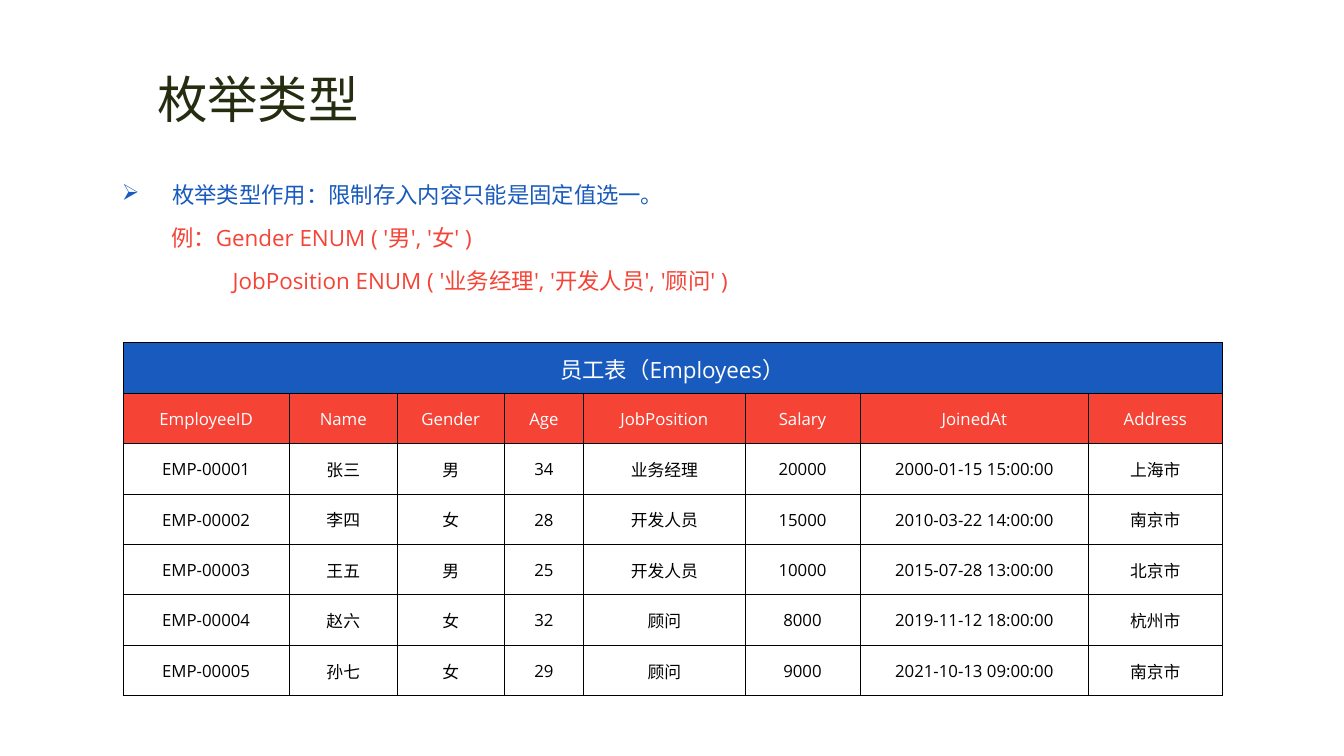
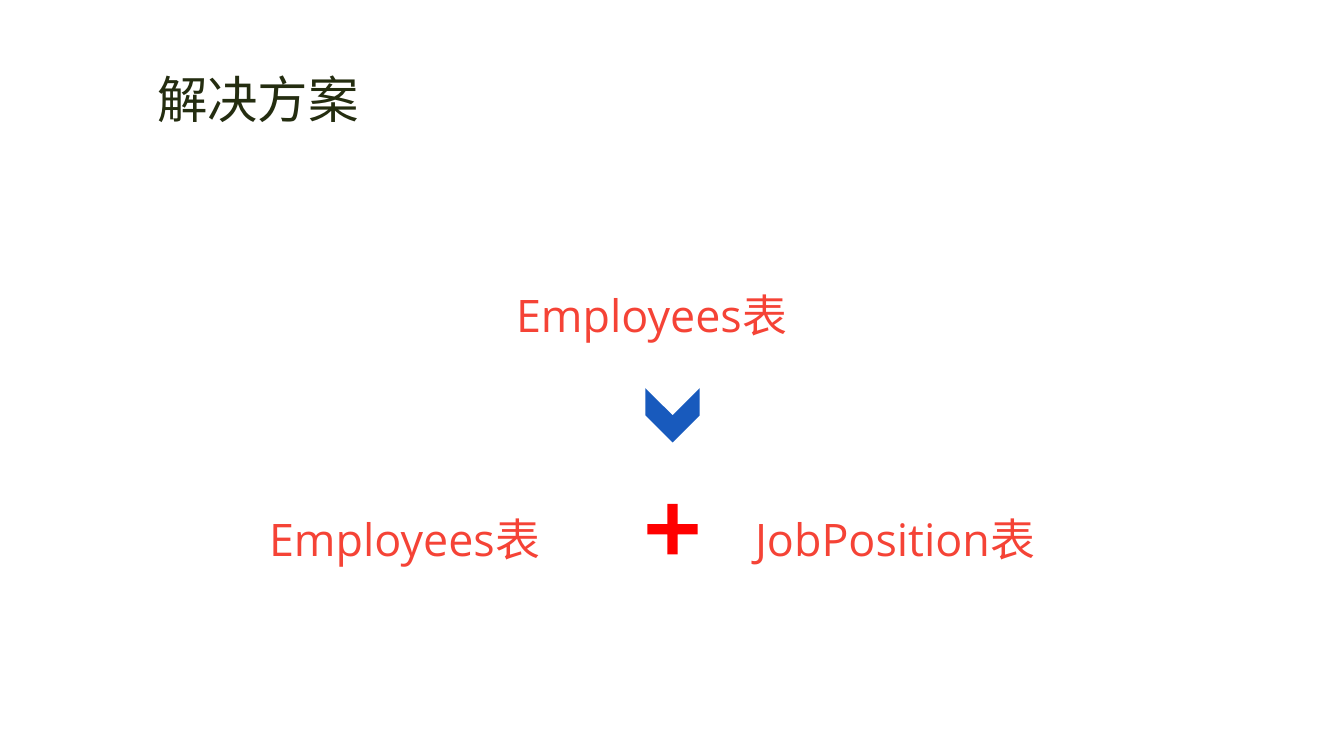
from lxml import etree
from pptx import Presentation, util as u
from pptx.dml.color import RGBColor
from pptx.enum import shapes, text
from pptx.oxml.ns import qn

BLUE, RED, PLUS_RED = "185ABD", "F54336", "FF0000"
INK, WHITE, BLACK = "242D10", "FFFFFF", "000000"
FONT = "Open Sans"

COLUMN_WIDTHS = [1.65, 1.07, 1.06, 0.79, 1.6, 1.14, 2.27, 1.32]
FIELDS = ["EmployeeID", "Name", "Gender", "Age", "JobPosition", "Salary", "JoinedAt", "Address"]
EMPLOYEES = [
    ["EMP-00001", "张三", "男", "34", "业务经理", "20000", "2000-01-15 15:00:00", "上海市"],
    ["EMP-00002", "李四", "女", "28", "开发人员", "15000", "2010-03-22 14:00:00", "南京市"],
    ["EMP-00003", "王五", "男", "25", "开发人员", "10000", "2015-07-28 13:00:00", "北京市"],
    ["EMP-00004", "赵六", "女", "32", "顾问", "8000", "2019-11-12 18:00:00", "杭州市"],
    ["EMP-00005", "孙七", "女", "29", "顾问", "9000", "2021-10-13 09:00:00", "南京市"],
]


def rgb(value):
    return RGBColor.from_string(value)


def apply(target, values):
    for name, value in values.items():
        setattr(target, name, value)


class Deck:
    """Hold the shared style and the slide being built."""

    def __init__(self):
        self.prs = Presentation()
        apply(self.prs, {"slide_width": u.Inches(13.33), "slide_height": u.Inches(7.5)})
        self.slide = None

    def new_slide(self, title):
        self.slide = self.prs.slides.add_slide(self.prs.slide_layouts[6])
        self.text(1.46, 0.63, 2.22, 0.71, [{"words": title}], 36, INK, wrap=False)

    def style_words(self, paragraph, words, size, color):
        paragraph.text = words
        apply(paragraph.font, {"name": FONT, "size": u.Pt(size)})
        paragraph.font.color.rgb = rgb(color)

    def text(self, left, top, width, height, lines, size, color, spacing=None, wrap=True):
        box = self.slide.shapes.add_textbox(*map(u.Inches, (left, top, width, height)))
        frame = box.text_frame
        apply(frame, {"word_wrap": wrap, "auto_size": text.MSO_AUTO_SIZE.SHAPE_TO_FIT_TEXT})
        for index, line in enumerate(lines):
            paragraph = frame.add_paragraph() if index else frame.paragraphs[0]
            margin, bullet = line.get("margin"), line.get("bullet")
            if margin:
                properties = paragraph._p.get_or_add_pPr()
                properties.set("marL", str(u.Inches(margin)))
                properties.set("indent", str(u.Inches(-margin) if bullet else 0))
                if bullet:
                    etree.SubElement(properties, qn("a:buChar"), char=bullet)
            if spacing:
                paragraph.line_spacing = spacing
            self.style_words(paragraph, line["words"], size, line.get("color", color))

    def table_name(self, left, top, width, words):
        self.text(left, top, width, 0.82, [{"words": words}], 32, RED, spacing=1.5)

    def symbol(self, kind, center_x, center_y, side, color, rotation=0, adjustment=None):
        corner = (center_x - side / 2, center_y - side / 2, side, side)
        shape = self.slide.shapes.add_shape(kind, *map(u.Inches, corner))
        shape.shadow.inherit = False
        shape.rotation = rotation
        shape.fill.solid()
        shape.fill.fore_color.rgb = rgb(color)
        shape.line.fill.background()
        if adjustment is not None:
            shape.adjustments[0] = adjustment

    def cell(self, cell, words, size, color, fill):
        apply(cell, {
            "margin_left": u.Inches(0.01), "margin_right": u.Inches(0.01),
            "margin_top": u.Inches(0.01), "margin_bottom": 0,
            "vertical_anchor": text.MSO_ANCHOR.MIDDLE,
        })
        properties = cell._tc.get_or_add_tcPr()
        for side in ("lnL", "lnR", "lnT", "lnB"):
            border = etree.SubElement(properties, qn(f"a:{side}"), w=str(u.Pt(0.5)))
            ink = etree.SubElement(border, qn("a:solidFill"))
            etree.SubElement(ink, qn("a:srgbClr"), val=BLACK)
        if fill:
            cell.fill.solid()
            cell.fill.fore_color.rgb = rgb(fill)
        else:
            cell.fill.background()
        paragraph = cell.text_frame.paragraphs[0]
        paragraph.alignment = text.PP_ALIGN.CENTER
        self.style_words(paragraph, words, size, color)

    def table(self, left, top, row_height, widths, heading, fields, records):
        rows = [[heading] + [""] * (len(widths) - 1), fields, *records]
        styles = [(16, WHITE, BLUE), (12, WHITE, RED)] + [(12, BLACK, None)] * len(records)
        area = (left, top, sum(widths), row_height * len(rows))
        grid = self.slide.shapes.add_table(len(rows), len(widths), *map(u.Inches, area)).table
        apply(grid, {"first_row": False, "horz_banding": False})
        for column, width in zip(grid.columns, widths):
            column.width = u.Inches(width)
        for r, (values, style) in enumerate(zip(rows, styles)):
            for c, value in enumerate(values):
                self.cell(grid.cell(r, c), value, *style)
        grid.cell(0, 0).merge(grid.cell(0, len(widths) - 1))


def main():
    deck = Deck()

    deck.new_slide("枚举类型")
    explanation = [
        {"words": "枚举类型作用：限制存入内容只能是固定值选一。", "margin": 0.5, "bullet": "➢", "color": BLUE},
        {"words": "例：Gender ENUM ( '男', '女' )", "margin": 0.49},
        {"words": "JobPosition ENUM ( '业务经理', '开发人员', '顾问' )", "margin": 1.1},
    ]
    deck.text(1.11, 1.59, 10.32, 1.34, explanation, 16, RED, spacing=1.6)
    deck.table(1.22, 3.4, 0.5, COLUMN_WIDTHS, "员工表（Employees）", FIELDS, EMPLOYEES)

    deck.new_slide("解决方案")
    deck.table_name(5.02, 2.54, 3.3, "Employees表")
    deck.table_name(2.57, 4.76, 3.16, "Employees表")
    deck.table_name(7.39, 4.76, 3.3, "JobPosition表")
    deck.symbol(shapes.MSO_SHAPE.CHEVRON, 6.67, 4.12, 0.54, BLUE, rotation=90)
    deck.symbol(shapes.MSO_SHAPE.MATH_PLUS, 6.67, 5.25, 0.68, PLUS_RED, adjustment=0.15)

    deck.prs.save("out.pptx")


if __name__ == "__main__":
    main()
